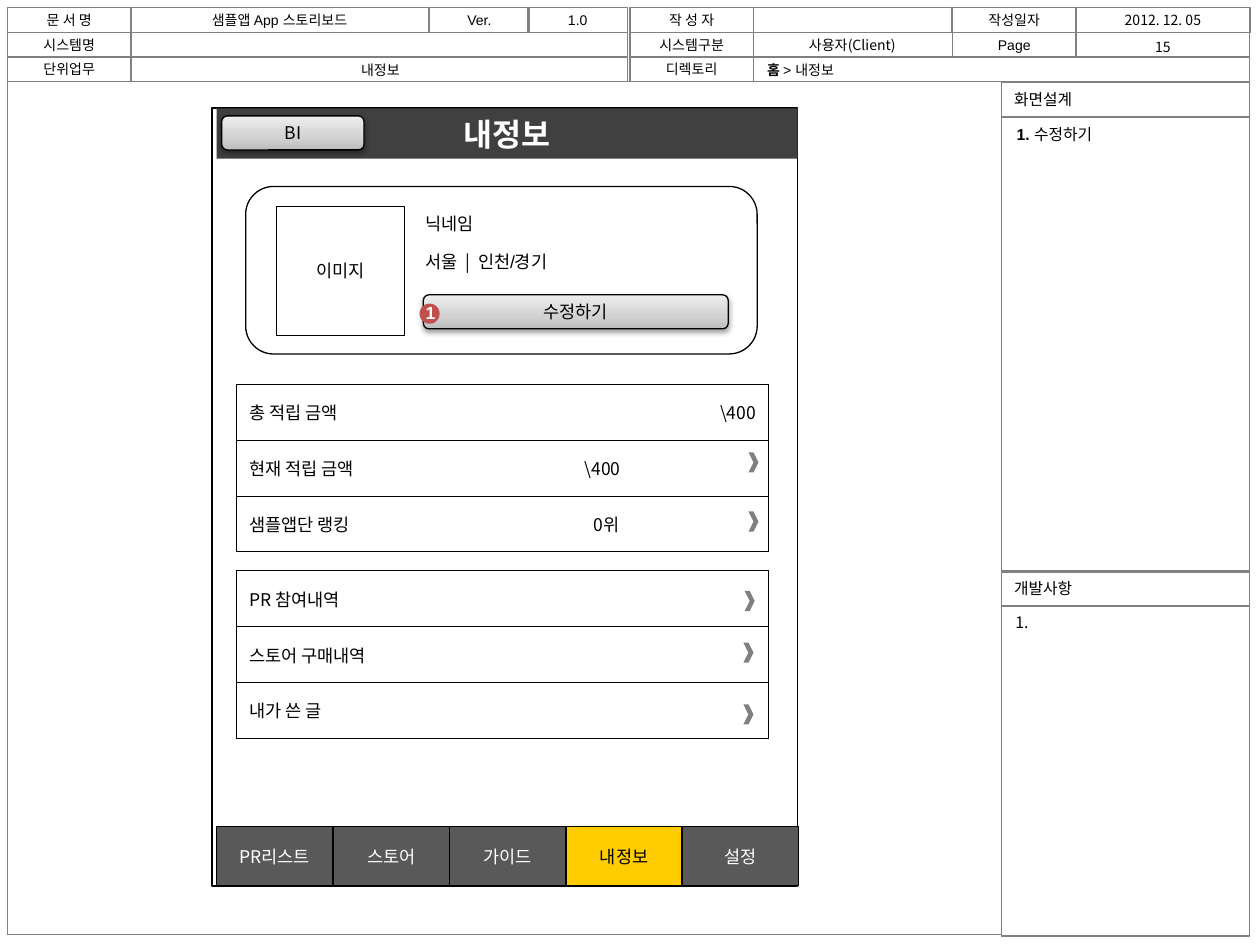
from copy import deepcopy
from dataclasses import dataclass

from lxml import etree
from pptx import Presentation
from pptx import util as u
from pptx.dml.color import RGBColor
from pptx.enum import shapes, text
from pptx.oxml.ns import qn

C = {"black": "000000", "white": "FFFFFF", "grey": "808080", "bar": "404040",
     "tab": "595959", "active": "FFCC00", "badge": "C0504D"}
BUTTON_STOPS = [(0, "BDBDBD"), (0.35, "D1D1D1"), (1, "EEEEEE")]
ARIAL, NOTO = "Arial", "Noto Sans CJK KR"
SHAPE, ALIGN = shapes.MSO_SHAPE, text.PP_ALIGN
MIDDLE, TOP = text.MSO_ANCHOR.MIDDLE, text.MSO_ANCHOR.TOP


@dataclass
class Box:
    x: float
    y: float
    w: float
    h: float
    label: str = ""
    size: float = 8
    align: ALIGN = ALIGN.CENTER
    font: str = ARIAL

    def place(self) -> list:
        return [u.Inches(v) for v in (self.x, self.y, self.w, self.h)]


def rgb(name: str) -> RGBColor:
    return RGBColor.from_string(C[name])


def write(p, label: str, size: float = 10, font: str = ARIAL, color: str = "black",
          bold: bool = False, align: ALIGN = ALIGN.LEFT) -> None:
    """Add one formatted run to a paragraph."""
    p.alignment = align
    r = p.add_run()
    r.text = label
    r.font.size, r.font.bold, r.font.name = u.Pt(size), bold, font
    r.font.color.rgb = rgb(color)
    etree.SubElement(r.font._element, qn("a:ea"), typeface=NOTO)


def draw(parent, box: Box, kind=SHAPE.RECTANGLE, fill: str = "", line: str = "",
         width: float = 0.75, color: str = "black", bold: bool = False):
    sp = parent.add_shape(kind, *box.place())
    sp.shadow.inherit = False
    if fill:
        sp.fill.solid()
        sp.fill.fore_color.rgb = rgb(fill)
    else:
        sp.fill.background()
    if line:
        sp.line.color.rgb = rgb(line)
        sp.line.width = u.Pt(width)
    else:
        sp.line.fill.background()
    tf = sp.text_frame
    tf.vertical_anchor = MIDDLE
    if box.label:
        write(tf.paragraphs[0], box.label, box.size, box.font, color, bold, box.align)
    return sp


def textbox(parent, box: Box, *runs: tuple, anchor=TOP, color: str = "black",
            bold: bool = False):
    """Place text; runs of (label, bold) replace the label of the box."""
    tf = parent.add_textbox(*box.place()).text_frame
    tf.word_wrap = True
    tf.vertical_anchor = anchor
    for label, heavy in runs or [(box.label, bold)]:
        write(tf.paragraphs[0], label, box.size, box.font, color, heavy, box.align)
    return tf


def button(parent, box: Box) -> None:
    sp = draw(parent, box, SHAPE.ROUNDED_RECTANGLE, line="black")
    sp.fill.gradient()
    sp.fill.gradient_angle = 90
    props = sp._element.spPr
    stops = props.find(qn("a:gradFill")).find(qn("a:gsLst"))
    stops.append(deepcopy(stops[-1]))
    for stop, (position, value) in zip(sp.fill.gradient_stops, BUTTON_STOPS):
        stop.position = position
        stop.color.rgb = RGBColor.from_string(value)
    shadow = etree.SubElement(props.find(qn("a:effectLst")), qn("a:outerShdw"), dir="5400000",
                              blurRad=str(u.Pt(3.1)), dist=str(u.Pt(1.6)), rotWithShape="0")
    tint = etree.SubElement(shadow, qn("a:srgbClr"), val=C["black"])
    etree.SubElement(tint, qn("a:alpha"), val="38000")


def border(cell, sides: str, width: float) -> None:
    for side in "LRTB":
        ln = etree.SubElement(cell._tc.get_or_add_tcPr(), qn(f"a:ln{side}"), w=str(u.Pt(width)))
        if side in sides:
            fill = etree.SubElement(ln, qn("a:solidFill"))
            etree.SubElement(fill, qn("a:srgbClr"), val=C["black"])
        else:
            etree.SubElement(ln, qn("a:noFill"))


def table(parent, box: Box, rows: list[list[str]], widths: list[float], width: float = 0.5,
          active: str = "", filled: bool = False, inner: bool = True):
    tb = parent.add_table(len(rows), len(widths), *box.place()).table
    tb.first_row = tb.horz_banding = False
    for column, w in zip(tb.columns, widths):
        column.width = u.Inches(w)
    for i, row in enumerate(rows):
        for j, label in enumerate(row):
            cell = tb.cell(i, j)
            left = "L" if inner or j == 0 else ""
            right = "R" if inner or j == len(row) - 1 else ""
            border(cell, "TB" + left + right, width)
            cell.vertical_anchor = MIDDLE
            if filled:
                cell.fill.solid()
                cell.fill.fore_color.rgb = rgb("active" if label == active else "tab")
            else:
                cell.fill.background()
            color = "white" if filled and label != active else "black"
            write(cell.text_frame.paragraphs[0], label, 10, NOTO, color, align=box.align)
    return tb


prs = Presentation()
prs.slide_width, prs.slide_height = u.Inches(10), u.Inches(7.5)
s = prs.slides.add_slide(prs.slide_layouts[6]).shapes

# Document header and panel frames
Y1, Y2, Y3, H = 0.06, 0.26, 0.45, 0.2
LEFT = ALIGN.LEFT
FRAMES = [
    Box(0.06, Y1, 0.98, H, "문 서 명"), Box(1.04, Y1, 2.36, H, "샘플앱 App 스토리보드"),
    Box(3.41, Y1, 0.79, H, "Ver."), Box(4.19, Y1, 0.79, H, "1.0"),
    Box(5, Y1, 0.98, H, "작 성 자"), Box(5.98, Y1, 1.57, H),
    Box(7.56, Y1, 0.98, H, "작성일자"), Box(8.54, Y1, 1.38, H),
    Box(0.06, Y2, 0.98, H, "시스템명"), Box(1.04, Y2, 3.94, H),
    Box(5, Y2, 0.98, H, "시스템구분"), Box(5.98, Y2, 3.94, H),
    Box(7.56, Y2, 0.98, H, "Page"),
    Box(0.06, Y3, 0.98, H, "단위업무"), Box(1.04, Y3, 3.94, H),
    Box(5, Y3, 0.98, H, "디렉토리"), Box(5.98, Y3, 3.94, H),
    Box(0.06, 0.65, 7.89, 6.77), Box(7.95, 0.93, 1.97, 3.61), Box(7.95, 4.81, 1.97, 2.62),
    Box(7.95, 0.65, 1.97, 0.28, "화면설계", 9, LEFT),
    Box(7.95, 4.53, 1.97, 0.28, "개발사항", 9, LEFT),
]
for frame in FRAMES:
    draw(s, frame, line="grey")

# Header values and side notes
textbox(s, Box(8.54, 0.27, 1.38, 0.2, "15", font=NOTO), anchor=MIDDLE)
textbox(s, Box(5.98, 0.24, 1.57, 0.24, "사용자(Client)", font=NOTO))
textbox(s, Box(8.54, 0.04, 1.38, 0.24, "2012. 12. 05", font=NOTO))
textbox(s, Box(1.05, 0.44, 3.94, 0.24, "내정보"))
textbox(s, Box(5.99, 0.44, 3.94, 0.23, align=LEFT), ("홈", True), (" > 내정보", False))
textbox(s, Box(7.97, 0.94, 2.03, 0.25, size=9, align=LEFT), ("1.", True), (" 수정하기", False))
textbox(s, Box(7.96, 4.81, 2.03, 0.25, "1.", 9, LEFT, NOTO))

# Phone screen with title bar
draw(s, Box(1.68, 0.86, 4.65, 6.17), fill="white", line="black", width=1)
draw(s, Box(1.72, 0.86, 4.61, 0.4, "내정보", 18), fill="bar", color="white", bold=True)
button(s, Box(1.76, 0.92, 1.13, 0.27, "BI", 10, font=NOTO))

# Savings and activity lists
savings = table(s, Box(1.88, 3.05, 4.22, 1.33, align=LEFT),
                [["총 적립 금액", "\\400"], ["현재 적립 금액", "\\400"], ["샘플앱단 랭킹", "0위"]],
                [1.15, 3.07], inner=False)
savings.cell(0, 1).text_frame.paragraphs[0].alignment = ALIGN.RIGHT
savings.cell(1, 1).margin_left = u.Inches(1.61)
savings.cell(2, 1).margin_left = u.Inches(1.68)
table(s, Box(1.88, 4.53, 4.22, 1.33, align=LEFT),
      [["PR 참여내역"], ["스토어 구매내역"], ["내가 쓴 글"]], [4.22])
for x, y in [(5.94, 3.59), (5.94, 4.06), (5.91, 4.69), (5.9, 5.1), (5.9, 5.59)]:
    draw(s, Box(x, y, 0.08, 0.16), SHAPE.CHEVRON, fill="grey")

# Bottom tabs
TABS = ["PR리스트", "스토어", "가이드", "내정보", "설정"]
table(s, Box(1.72, 6.56, 4.62, 0.47), [TABS], [4.62 / len(TABS)] * len(TABS), 1,
      active="내정보", filled=True)

# Profile card
draw(s, Box(1.95, 1.48, 4.06, 1.33), SHAPE.ROUNDED_RECTANGLE, "white", "black")
draw(s, Box(2.19, 1.64, 1.02, 1.02, "이미지", 10), fill="white", line="black", width=0.25)
profile = textbox(s, Box(3.28, 1.64, 1.56, 0.61, "닉네임", 10, LEFT))
region = profile.add_paragraph()
region.space_before = u.Pt(10)
for part, face in [("서울  ", ARIAL), ("|  ", NOTO), ("인천/경기", ARIAL)]:
    write(region, part, font=face)
button(s, Box(3.36, 2.34, 2.42, 0.27, "수정하기", 10, font=NOTO))

# Numbered marker
marker = s.add_group_shape().shapes
draw(marker, Box(3.33, 2.41, 0.16, 0.16), SHAPE.OVAL, fill="badge")
textbox(marker, Box(3.28, 2.35, 0.55, 0.27, "1", 10, LEFT), color="white", bold=True)

prs.save("out.pptx")
